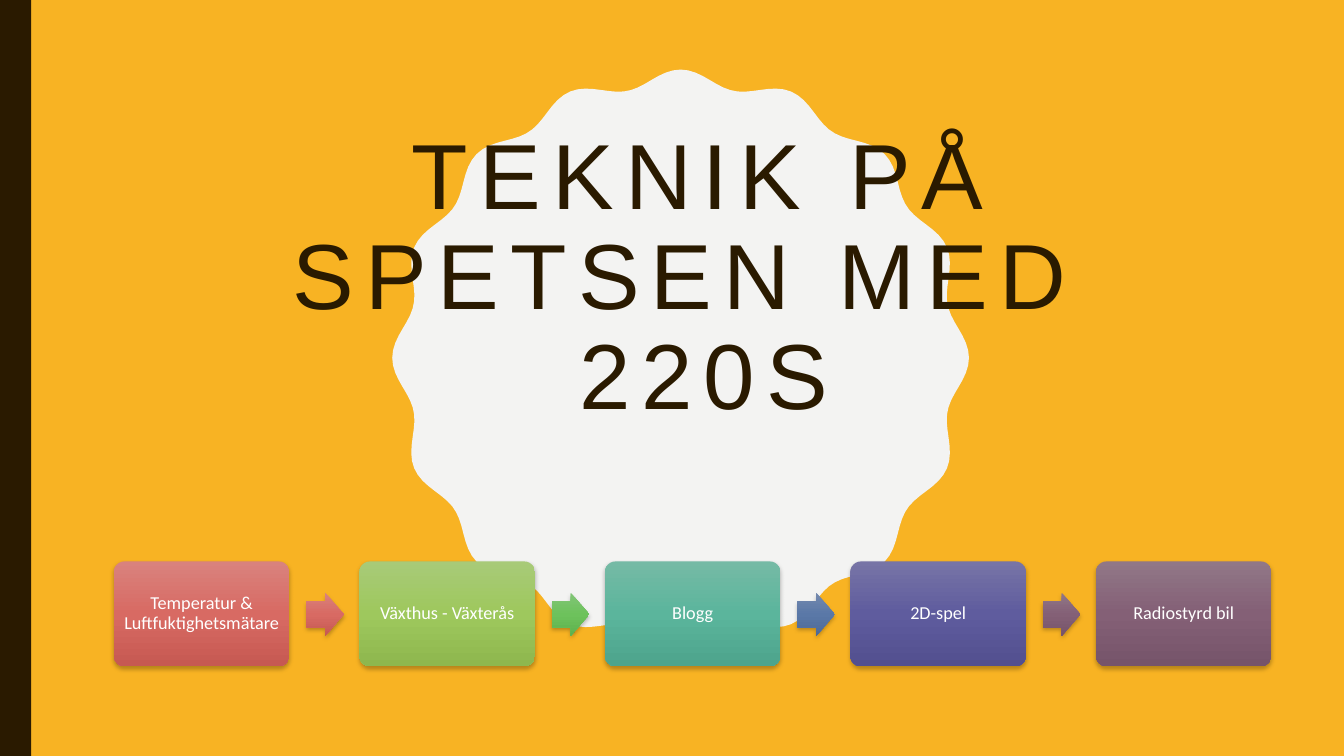
from copy import deepcopy
from math import cos, pi, sin

from lxml.etree import SubElement
from pptx import Presentation
from pptx.dml.color import RGBColor
from pptx.enum.shapes import MSO_SHAPE
from pptx.enum.text import MSO_ANCHOR, PP_ALIGN
from pptx.oxml.ns import qn
from pptx.util import Inches, Pt

YELLOW, BROWN, PALE, WHITE = "F8B323", "2A1A00", "F3F3F2", "FFFFFF"
RED = ("D9827D", "D86A63", "C65952")
LIME = ("A8CA78", "9EC85D", "8EB74E")
GREEN = ("82C577", "6DC25C", "5EB14D")
TEAL = ("75BAA5", "5BB59C", "4DA48C")
BLUE = ("7489AE", "5A78A7", "4D6A97")
INDIGO = ("7774A6", "5F5C9E", "524F8F")
PLUM = ("917787", "846076", "76546A")
STEPS = [
    ("Temperatur & Luftfuktighetsmätare", RED, RED),
    ("Växthus - Växterås", LIME, GREEN),
    ("Blogg", TEAL, BLUE),
    ("2D-spel", INDIGO, PLUM),
    ("Radiostyrd bil", PLUM, None),
]


def rgb(color):
    """Turn a hex string into a colour."""
    return RGBColor.from_string(color)


def write(sp, text, font, size, color, spacing=0, inset=None):
    """Write centred text in a shape, with a line break at each newline."""
    tf = sp.text_frame
    tf.word_wrap = True
    tf.vertical_anchor = MSO_ANCHOR.MIDDLE
    if inset is not None:
        tf.margin_left = tf.margin_right = Inches(inset)
        tf.margin_top = tf.margin_bottom = Inches(inset)
    p = tf.paragraphs[0]
    p.alignment = PP_ALIGN.CENTER
    p.line_spacing = 0.9
    for i, line in enumerate(text.split("\n")):
        if i:
            p.add_line_break()
        r = p.add_run()
        r.text = line
        r.font.name = font
        r.font.size = Pt(size)
        r.font.color.rgb = rgb(color)
        if spacing:
            r.font._element.set("spc", str(spacing * 100))


class Deck:
    """Hold the style and the current slide."""

    heading, body = "Arial", "Calibri"

    def __init__(self, prs):
        """Add a title-only slide with a plain background."""
        self.s = prs.slides.add_slide(prs.slide_layouts[5])
        self.s.background.fill.solid()
        self.s.background.fill.fore_color.rgb = rgb(YELLOW)

    def paint(self, sp, color):
        """Give a shape a flat fill, with no line or shadow."""
        sp.shadow.inherit = False
        sp.fill.solid()
        sp.fill.fore_color.rgb = rgb(color)
        sp.line.fill.background()

    def bar(self, x, y, w, h, color):
        """Add a flat rectangle."""
        sp = self.s.shapes.add_shape(
            MSO_SHAPE.RECTANGLE, Inches(x), Inches(y), Inches(w), Inches(h))
        self.paint(sp, color)

    def seal(self, cx, cy, radius, wave, bumps, color):
        """Add a disc with a wavy edge."""
        count = bumps * 15
        points = []
        for i in range(count):
            a = 2 * pi * i / count
            d = radius + wave * cos(bumps * a)
            points.append((Inches(cx + d * sin(a)), Inches(cy - d * cos(a))))
        builder = self.s.shapes.build_freeform(*points[0])
        builder.add_line_segments(points[1:], close=True)
        self.paint(builder.convert_to_shape(), color)

    def title(self, text, x, y, w, h):
        """Place the title in front of the shapes added so far."""
        sp = self.s.shapes.title
        sp.left, sp.top, sp.width, sp.height = map(Inches, (x, y, w, h))
        write(sp, text, self.heading, 66, BROWN, spacing=8)
        self.s.shapes.element.append(sp.element)

    def glossy(self, kind, x, y, w, h, colors, adjust):
        """Add a shape with a vertical gradient and a soft shadow."""
        sp = self.s.shapes.add_shape(
            kind, Inches(x), Inches(y), Inches(w), Inches(h))
        for i, value in enumerate(adjust):
            sp.adjustments[i] = value
        sp.line.fill.background()
        sp.fill.gradient()
        sp.fill.gradient_angle = 270
        first = sp.element.xpath(".//a:gs")[0]
        first.addnext(deepcopy(first))
        for i, stop in enumerate(sp.fill.gradient_stops):
            stop.position = i / 2
            stop.color.rgb = rgb(colors[i])
        sp.shadow.inherit = False
        effects = sp.element.spPr.find(qn("a:effectLst"))
        shadow = SubElement(effects, qn("a:outerShdw"), blurRad=str(Pt(3)),
                            dist=str(Pt(2)), dir="5400000", rotWithShape="0")
        black = SubElement(shadow, qn("a:srgbClr"), val="000000")
        SubElement(black, qn("a:alpha"), val="25000")
        return sp

    def step(self, text, x, y, colors):
        """Add a rounded box with a label."""
        sp = self.glossy(MSO_SHAPE.ROUNDED_RECTANGLE, x, y, 1.74, 1.04,
                         colors, [0.1])
        write(sp, text, self.body, 13, WHITE, inset=0.05)

    def arrow(self, x, y, colors):
        """Add a block arrow that leads to the next step."""
        self.glossy(MSO_SHAPE.RIGHT_ARROW, x, y, 0.37, 0.43,
                    colors, [0.6, 0.5])


def main():
    """Build and save the slide."""
    prs = Presentation()
    prs.slide_width, prs.slide_height = Inches(13.33), Inches(7.5)
    deck = Deck(prs)
    deck.seal(6.75, 3.55, 2.78, 0.08, 16, PALE)
    deck.bar(0, 0, 0.31, 7.5, BROWN)
    deck.title("TEKNIK PÅ SPETSEN MED \n220S", 1.34, 0.37, 11.28, 4.81)
    left, right = 1.13, 10.87
    pitch = (right - left) / (len(STEPS) - 1)
    for i, (text, colors, arrow_colors) in enumerate(STEPS):
        x = left + i * pitch
        deck.step(text, x, 5.57, colors)
        if arrow_colors:
            deck.arrow(x + 1.91, 5.88, arrow_colors)
    prs.save("out.pptx")


if __name__ == "__main__":
    main()
